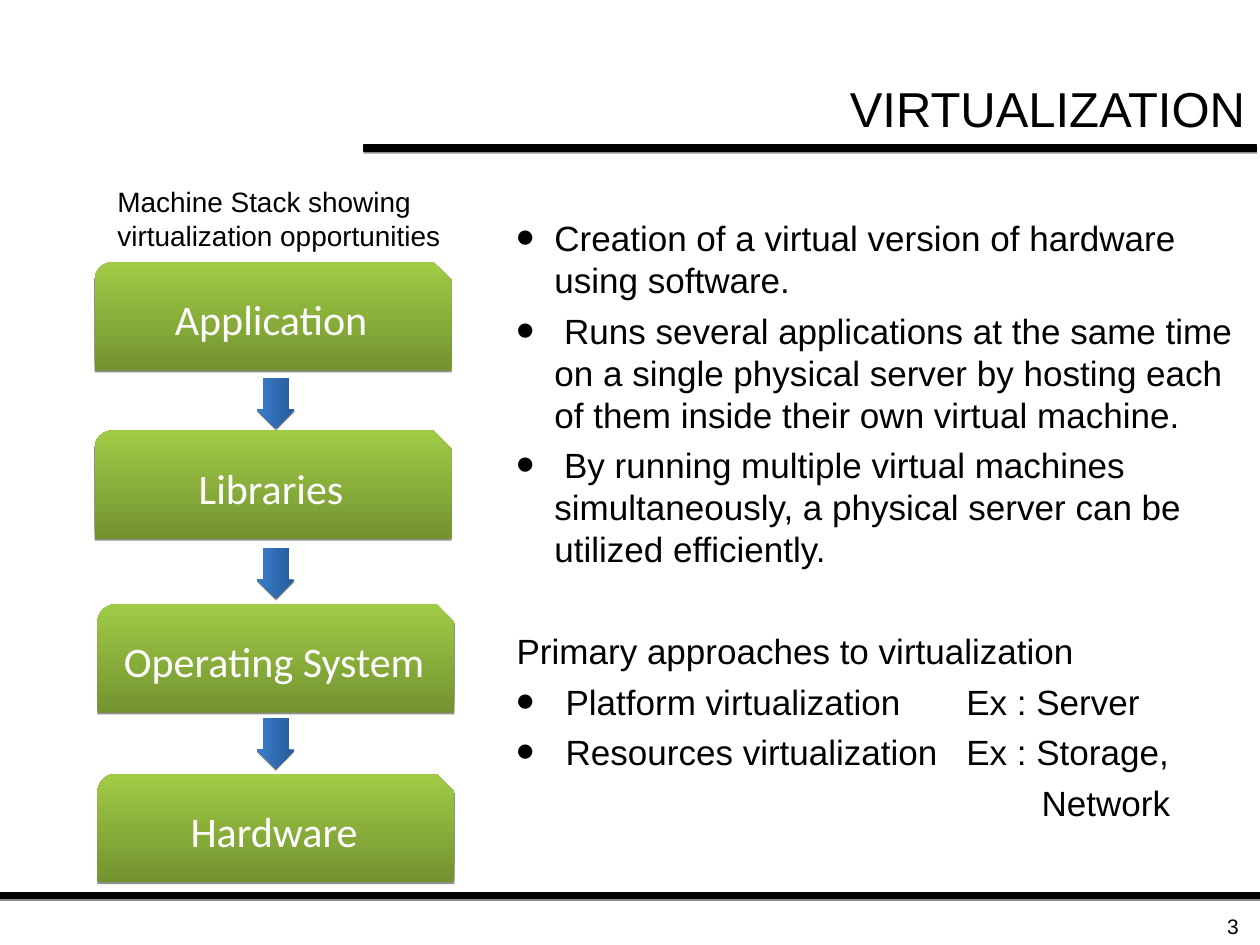
"""Build the virtualization slide: a machine stack beside a bulleted list."""
import pptx
import pptx.util
import pptx.dml.color
import pptx.enum.shapes
import pptx.enum.text
import pptx.oxml.ns

Pt = pptx.util.Pt
KIND = pptx.enum.shapes.MSO_SHAPE
ALIGN = pptx.enum.text.PP_ALIGN
ANCHOR = pptx.enum.text.MSO_ANCHOR
HUES = {"ink": "000000", "page": "FFFFFF", "moss": "739330",
        "lime": "A0CB46", "navy": "275A96", "blue": "3A7ECF"}


def node(root, tag, **attrs):
    item = root.makeelement(pptx.oxml.ns.qn(tag), attrs)
    root.append(item)
    return item


class Deck:
    def __init__(self):
        self.file = pptx.Presentation()
        self.file.slide_width, self.file.slide_height = Pt(720), Pt(540)
        self.slide = self.file.slides.add_slide(self.file.slide_layouts[1])

    def hue(self, name):
        return pptx.dml.color.RGBColor.from_string(HUES[name])

    def place(self, shape, x, y, w, h):
        shape.left, shape.top, shape.width, shape.height = map(Pt, (x, y, w, h))

    def run(self, para, text, size, font="Arial", hue="ink"):
        run = para.add_run()
        run.text = text
        run.font.size, run.font.name = Pt(size), font
        run.font.color.rgb = self.hue(hue)

    def frame(self, shape, anchor=ANCHOR.TOP, wrap=True):
        frame = shape.text_frame
        frame.auto_size = pptx.enum.text.MSO_AUTO_SIZE.NONE
        frame.word_wrap = wrap
        frame.vertical_anchor = anchor
        return frame

    def title(self, text, *spot):
        shape = self.slide.shapes.title
        self.place(shape, *spot)
        para = self.frame(shape, ANCHOR.BOTTOM).paragraphs[0]
        para.alignment = ALIGN.RIGHT
        self.run(para, text, 28)

    def body(self, items, *spot):
        shape = self.slide.placeholders[1]
        self.place(shape, *spot)
        frame = self.frame(shape)
        for i, (text, level, left, hang, space, stop) in enumerate(items):
            para = frame.add_paragraph() if i else frame.paragraphs[0]
            para.level = level
            props = para._p.get_or_add_pPr()
            props.set("marL", str(Pt(left)))
            props.set("indent", str(-Pt(hang)))
            if hang:
                node(props, "a:buSzPct", val="150000")
                node(props, "a:buFont", typeface="Arial")
                node(props, "a:buChar", char="•")
            else:
                node(props, "a:buNone")
            if stop:
                tabs = node(props, "a:tabLst")
                node(tabs, "a:tab", pos=str(Pt(stop)), algn="l")
            para.alignment = ALIGN.LEFT
            para.space_before = Pt(space)
            self.run(para, text, 20)

    def label(self, lines, size, *spot, align=ALIGN.LEFT, anchor=ANCHOR.TOP):
        shape = self.slide.shapes.add_textbox(*map(Pt, spot))
        para = self.frame(shape, anchor, False).paragraphs[0]
        para.alignment = align
        for i, text in enumerate(lines):
            if i:
                para.add_line_break()
            self.run(para, text, size)

    def shape(self, kind, *spot):
        shape = self.slide.shapes.add_shape(kind, *map(Pt, spot))
        shape.line.fill.background()
        shape.shadow.inherit = False
        glow = shape._element.spPr.find(pptx.oxml.ns.qn("a:effectLst"))
        cast = node(glow, "a:outerShdw", blurRad="0", dist=str(Pt(1)),
                    dir="5400000", algn="ctr", rotWithShape="0")
        node(node(cast, "a:srgbClr", val=HUES["ink"]), "a:alpha", val="44000")
        return shape

    def shade(self, shape, angle, *names):
        shape.fill.gradient()
        shape.fill.gradient_angle = angle
        for stop, name in zip(shape.fill.gradient_stops, names):
            stop.color.rgb = self.hue(name)
        fill = shape._element.spPr.find(pptx.oxml.ns.qn("a:gradFill"))
        fill.set("rotWithShape", "0")

    def rule(self, x, y, w):
        bar = self.shape(KIND.RECTANGLE, x, y, w, 3.6)
        bar.fill.solid()
        bar.fill.fore_color.rgb = self.hue("ink")
        bar.line.color.rgb = self.hue("ink")
        bar.line.width = Pt(0.75)

    def layer(self, text, x, y):
        box = self.shape(KIND.SNIP_ROUND_RECTANGLE, x, y, 204, 62)
        self.shade(box, 90, "moss", "lime")
        para = self.frame(box, ANCHOR.MIDDLE).paragraphs[0]
        para.alignment = ALIGN.CENTER
        self.run(para, text, 24, "Calibri", "page")

    def arrow(self, x, y):
        arrow = self.shape(KIND.RIGHT_ARROW, x, y, 28.8, 21.6)
        arrow.rotation = 90
        arrow.adjustments[0], arrow.adjustments[1] = 0.67, 0.5
        self.shade(arrow, 180, "navy", "blue")


def main():
    deck = Deck()
    deck.rule(0, 509.8, 720)
    deck.rule(208.1, 82.8, 510)

    deck.title("VIRTUALIZATION", 221.8, 6.5, 496.8, 75.6)
    deck.body([
        ("Creation of a virtual version of hardware using software.",
         0, 21.6, 21.6, 0, None),
        (" Runs several applications at the same time on a single physical "
         "server by hosting each of them inside their own virtual machine.",
         0, 21.6, 21.6, 5, None),
        (" By running multiple virtual machines simultaneously, a physical "
         "server can be utilized efficiently.", 0, 21.6, 21.6, 5, None),
        ("Primary approaches to virtualization", 0, 0, 0, 34, None),
        ("Platform virtualization\tEx : Server", 1, 28, 28, 5, 257),
        ("Resources virtualization\tEx : Storage,", 1, 28, 28, 5, 257),
        ("Network", 1, 300, 0, 5, None),
    ], 288, 120, 432, 352)

    deck.label(["Machine Stack showing", "virtualization opportunities"],
               16, 60, 102, 204, 50)
    for i in range(3):
        deck.arrow(143.3, 219.6 + 97.2 * i)
    for text, x, y in (("Application", 54, 149.8), ("Libraries", 54, 246),
                       ("Operating System", 55.7, 345.3),
                       ("Hardware", 55.7, 442.3)):
        deck.layer(text, x, y)
    deck.label(["3"], 12, 672, 518.4, 43, 21.6,
               align=ALIGN.RIGHT, anchor=ANCHOR.MIDDLE)
    deck.file.save("out.pptx")


if __name__ == "__main__":
    main()
